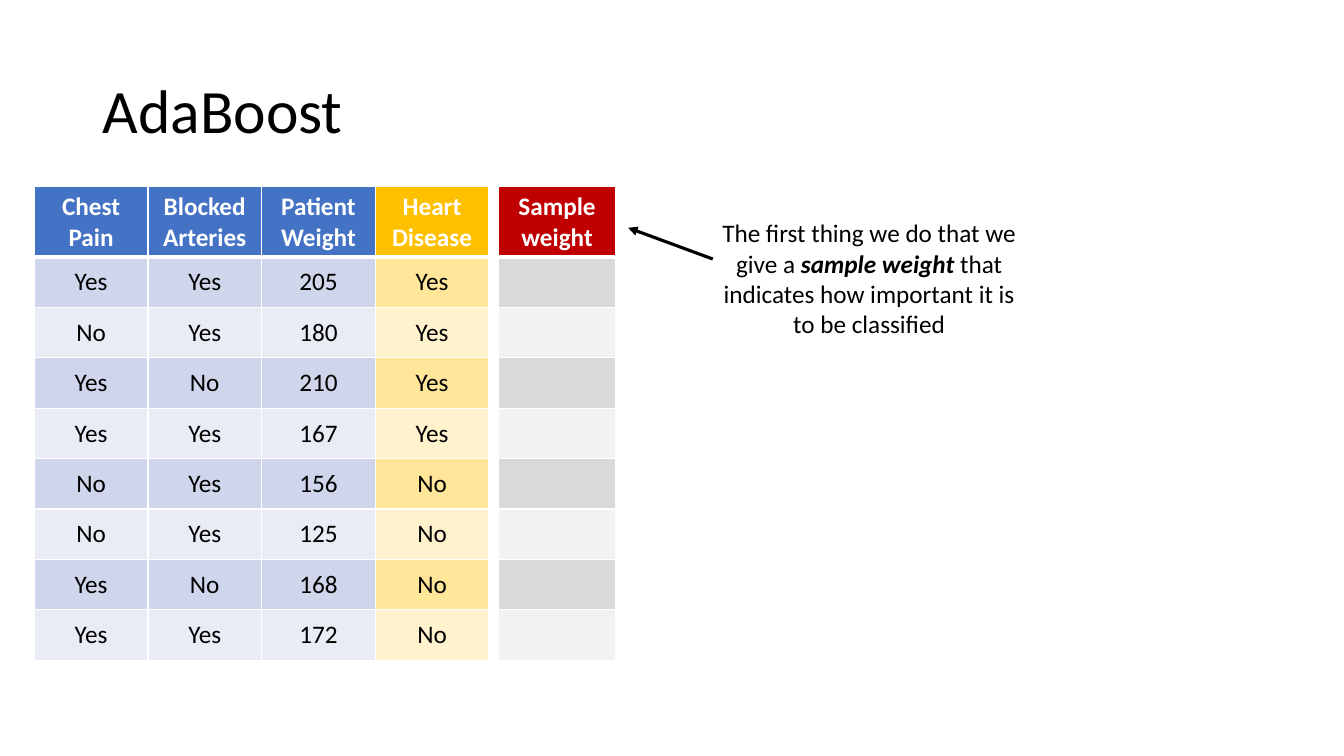
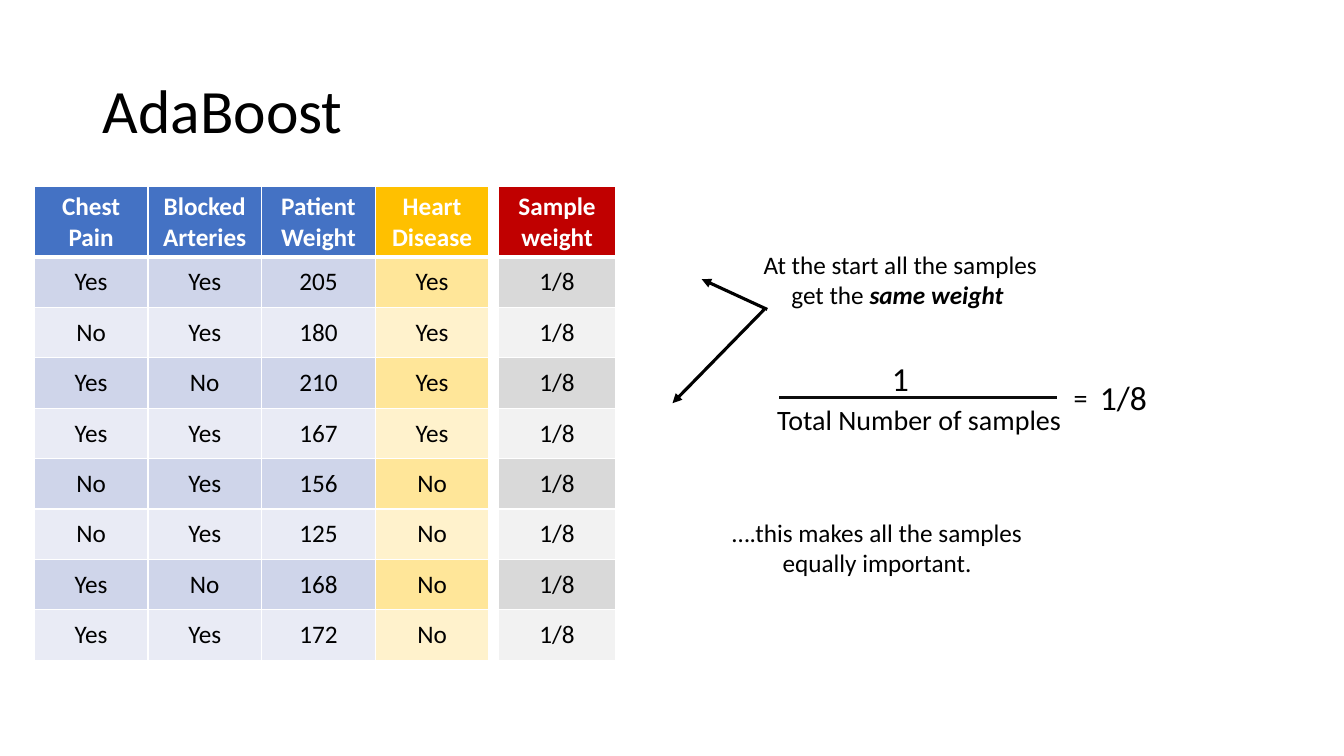
from lxml import etree
from pptx import Presentation
from pptx.dml.color import RGBColor
from pptx.enum.shapes import MSO_CONNECTOR
from pptx.enum.text import MSO_ANCHOR, PP_ALIGN
from pptx.oxml import parse_xml
from pptx.oxml.ns import nsdecls, qn
from pptx.util import Inches, Pt

LEFT, CENTER = PP_ALIGN.LEFT, PP_ALIGN.CENTER
TOP, MIDDLE = MSO_ANCHOR.TOP, MSO_ANCHOR.MIDDLE
STRAIGHT = MSO_CONNECTOR.STRAIGHT
FONT = "Calibri"
BLACK, WHITE = "000000", "FFFFFF"
rgb = RGBColor.from_string

# Column styles: header fill, odd row fill, even row fill
BLUE = ("4472C4", "CFD5EA", "E9EBF5")
GOLD = ("FFC000", "FFE699", "FFF2CC")
RED = ("C00000", "D9D9D9", "F2F2F2")

PATIENTS = [
    ("Chest Pain", "Blocked\nArteries", "Patient Weight", "Heart Disease"),
    ("Yes", "Yes", "205", "Yes"),
    ("No", "Yes", "180", "Yes"),
    ("Yes", "No", "210", "Yes"),
    ("Yes", "Yes", "167", "Yes"),
    ("No", "Yes", "156", "No"),
    ("No", "Yes", "125", "No"),
    ("Yes", "No", "168", "No"),
    ("Yes", "Yes", "172", "No"),
]


def add_text(shapes, x, y, w, h, runs, size=18, align=CENTER, anchor=TOP):
    """Add a text box; runs alternate between plain and bold italic."""
    sp = shapes.add_textbox(Inches(x), Inches(y), Inches(w), Inches(h))
    tf = sp.text_frame
    tf.word_wrap = True
    tf.vertical_anchor = anchor
    p = tf.paragraphs[0]
    p.alignment = align
    p.font.name, p.font.size = FONT, Pt(size)
    p.font.color.rgb = rgb(BLACK)
    for i, text in enumerate(runs):
        r = p.add_run()
        r.text = text
        if i % 2:
            r.font.bold = r.font.italic = True
    return p


def add_line(shapes, x1, y1, x2, y2, color=BLACK, arrow=True):
    """Add a straight line, with an arrowhead at its end if wanted."""
    line = shapes.add_connector(
        STRAIGHT, Inches(x1), Inches(y1), Inches(x2), Inches(y2))
    line.line.color.rgb = rgb(color)
    line.line.width = Pt(2.25)
    if arrow:
        ln = line.line._get_or_add_ln()
        etree.SubElement(ln, qn("a:tailEnd"), type="triangle")
    etree.SubElement(line._element.spPr, qn("a:effectLst"))


prs = Presentation()
prs.slide_width, prs.slide_height = Inches(13.33), Inches(7.5)

# Shared parts: title, patient table and sample weight table
for weight in ("", "1/8"):
    s = prs.slides.add_slide(prs.slide_layouts[6])
    title = add_text(s.shapes, 0.92, 0.4, 6.82, 1.45, ["AdaBoost"],
                     size=44, align=LEFT, anchor=MIDDLE)
    title.line_spacing = 0.9

    weights = [("Sample weight",)] + [(weight,)] * (len(PATIENTS) - 1)
    for x, width, rows, styles in (
            (0.34, 4.51, PATIENTS, (BLUE, BLUE, BLUE, GOLD)),
            (4.94, 1.17, weights, (RED,))):
        table = s.shapes.add_table(
            len(rows), len(styles), Inches(x), Inches(1.85),
            Inches(width), Inches(4.7)).table
        for col in table.columns:
            col.width = Inches(width / len(styles))
        for i, row in enumerate(rows):
            table.rows[i].height = Inches(0.5 if i else 0.69)
            for j, text in enumerate(row):
                cell = table.cell(i, j)
                cell.text = text
                cell.vertical_anchor = MIDDLE
                for p in cell.text_frame.paragraphs:
                    p.alignment = CENTER
                    p.font.name, p.font.size = FONT, Pt(18)
                    p.font.bold = i == 0
                    p.font.color.rgb = rgb(BLACK if i else WHITE)
                header, odd, even = styles[j]
                cell.fill.solid()
                cell.fill.fore_color.rgb = rgb(
                    header if i == 0 else odd if i % 2 else even)
                # White borders, thicker below the header
                borders = {"L": 1, "R": 1, "T": 3 if i == 1 else 1,
                           "B": 3 if i == 0 else 1}
                tcPr = cell._tc.get_or_add_tcPr()
                for k, (side, points) in enumerate(borders.items()):
                    tcPr.insert(k, parse_xml(
                        f'<a:ln{side} {nsdecls("a")} w="{Pt(points)}">'
                        f'<a:solidFill><a:srgbClr val="{WHITE}"/></a:solidFill>'
                        f'</a:ln{side}>'))

intro, start = (s.shapes for s in prs.slides)

# Slide 1: what the sample weight is
add_text(intro, 7, 2.11, 3.24, 1.31,
         ["The first thing we do that we give a ", "sample weight ",
          "that indicates how important it is to be classified"])
add_line(intro, 7.07, 2.57, 6.23, 2.26)

# Slide 2: the starting weight
add_text(start, 7.45, 2.42, 2.96, 0.71,
         ["At the start all the samples get the ", "same weight "])
add_line(start, 7.61, 3.07, 6.96, 2.77)

# Fraction
fraction = start.add_group_shape().shapes
add_line(fraction, 7.73, 3.94, 10.48, 3.94, color="0D0D0D", arrow=False)
add_text(fraction, 7.61, 3.94, 3.04, 0.44, ["Total Number of samples"],
         size=20, align=LEFT)
add_text(fraction, 8.73, 3.5, 0.4, 0.5, ["1"], size=24)
add_text(fraction, 10.55, 3.72, 0.35, 0.44, ["="],
         size=20, align=LEFT, anchor=MIDDLE)
add_text(fraction, 10.81, 3.69, 0.96, 0.5, ["1/8"], size=24, align=LEFT)

add_line(start, 7.58, 3.07, 6.67, 4)
add_text(start, 7.12, 5.08, 3.16, 0.71,
         ["….this makes all the samples equally important."])

prs.save("out.pptx")
